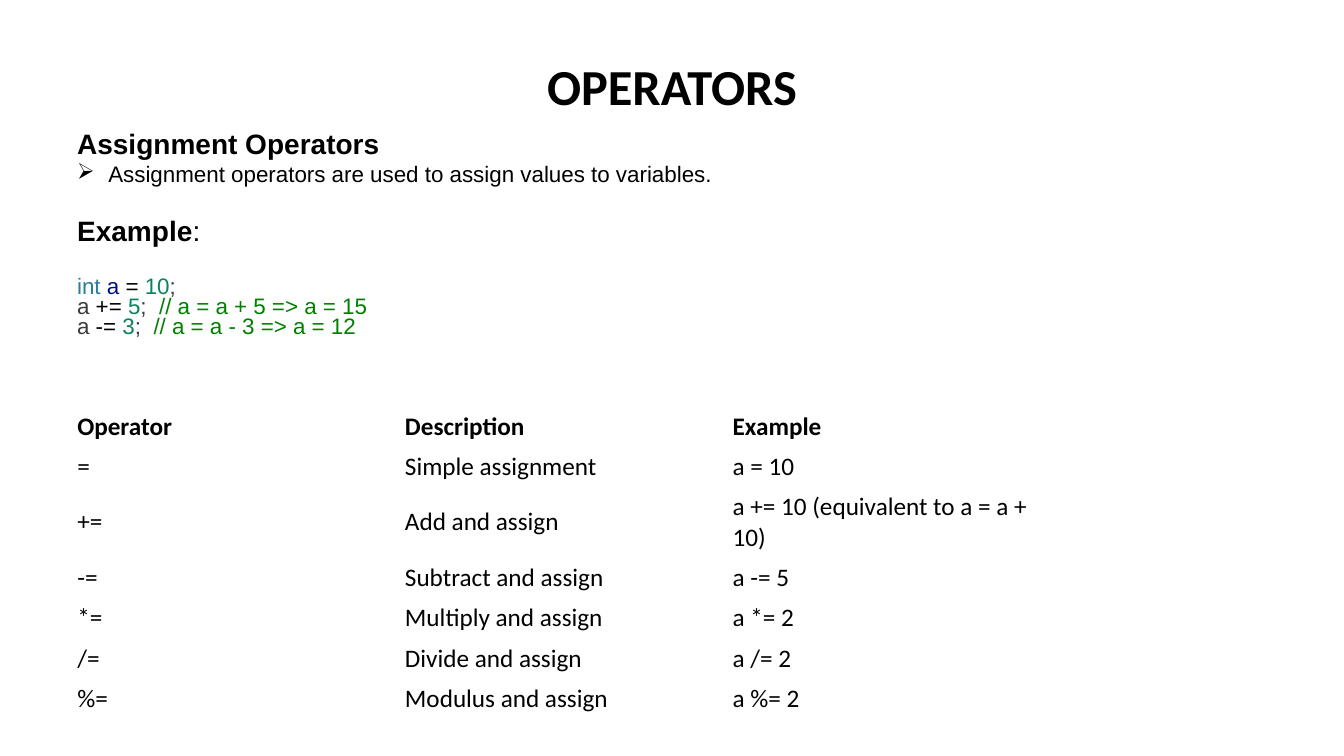
from lxml.etree import SubElement as Sub
from pptx import Presentation
from pptx.dml.color import RGBColor as Color
from pptx.enum.text import MSO_ANCHOR as Anchor, MSO_AUTO_SIZE as Auto, PP_ALIGN as Align
from pptx.oxml.ns import qn
from pptx.util import Inches, Pt

THEME = {
    "head": {"name": "Calibri", "size": Pt(36), "bold": True},
    "sub": {"name": "Arial", "size": Pt(20), "bold": True},
    "colon": {"name": "Arial", "size": Pt(20), "bold": False},
    "body": {"name": "Arial", "size": Pt(16), "bold": False},
    "cell": {"name": "Calibri", "size": Pt(18), "bold": False},
    "top": {"name": "Calibri", "size": Pt(18), "bold": True},
    "ink": "000000", "type": "267F99", "var": "001080",
    "num": "098658", "mark": "3B3B3B", "note": "008000",
}

deck = Presentation()
deck.slide_width, deck.slide_height = Inches(13.33), Inches(7.5)
slide = deck.slides.add_slide(deck.slide_layouts[6])
wide = deck.slide_width
left = int(wide * 0.05)


def write(para, text, style, tint="ink"):
    run = para.add_run()
    run.text = text
    for key, val in THEME[style].items():
        setattr(run.font, key, val)
    run.font.color.rgb = Color.from_string(THEME[tint])


def frame(x, y, w, h, wrap):
    text = slide.shapes.add_textbox(x, y, w, h).text_frame
    text.word_wrap = wrap
    text.auto_size = Auto.SHAPE_TO_FIT_TEXT
    return text


# Title, centred on the slide
span = Inches(2.71)
title = frame((wide - span) // 2, Inches(0.5), span, Inches(0.71), False)
title.paragraphs[0].alignment = Align.CENTER
write(title.paragraphs[0], "OPERATORS", "head")

# Explanation
text = frame(left, Inches(1.21), int(wide * 0.9), Inches(2.46), True)
para = text.paragraphs[0]
write(para, "Assignment Operators", "sub")

para = text.add_paragraph()
write(para, "Assignment operators are used to assign values to variables.", "body")
props = para._p.get_or_add_pPr()
props.set("marL", str(Inches(0.31)))
props.set("indent", str(-Inches(0.31)))
Sub(props, qn("a:buFont"), typeface="Wingdings")
Sub(props, qn("a:buChar"), char="Ø")

para = text.add_paragraph()
para.space_before = Pt(18.4)
write(para, "Example", "sub")
write(para, ":", "colon")

# Code, one list of coloured parts per line
code = [
    [("int ", "type"), ("a ", "var"), ("= ", "ink"), ("10", "num"), (";", "mark")],
    [("a ", "mark"), ("+= ", "ink"), ("5", "num"), (";  ", "mark"),
     ("// a = a + 5 => a = 15", "note")],
    [("a ", "mark"), ("-= ", "ink"), ("3", "num"), (";  ", "mark"),
     ("// a = a - 3 => a = 12", "note")],
]
for i, line in enumerate(code):
    para = text.add_paragraph()
    para.line_spacing = Pt(14.2)
    para.space_before = Pt(0 if i else 23)
    for part, tint in line:
        write(para, part, "body", tint)

# Table of operators
rows = [
    ("Operator", "Description", "Example"),
    ("=", "Simple assignment", "a = 10"),
    ("+=", "Add and assign", "a += 10 (equivalent to a = a + 10)"),
    ("-=", "Subtract and assign", "a -= 5"),
    ("*=", "Multiply and assign", "a *= 2"),
    ("/=", "Divide and assign", "a /= 2"),
    ("%=", "Modulus and assign", "a %= 2"),
]
col, row = Inches(3.25), Inches(0.4)
table = slide.shapes.add_table(len(rows), 3, left, Inches(4.03),
                               col * 3, row * len(rows)).table
table.first_row = table.horz_banding = False
for r, words in enumerate(rows):
    for c, word in enumerate(words):
        cell = table.cell(r, c)
        cell.fill.background()
        cell.vertical_anchor = Anchor.MIDDLE
        write(cell.text_frame.paragraphs[0], word, "cell" if r else "top")

deck.save("out.pptx")
